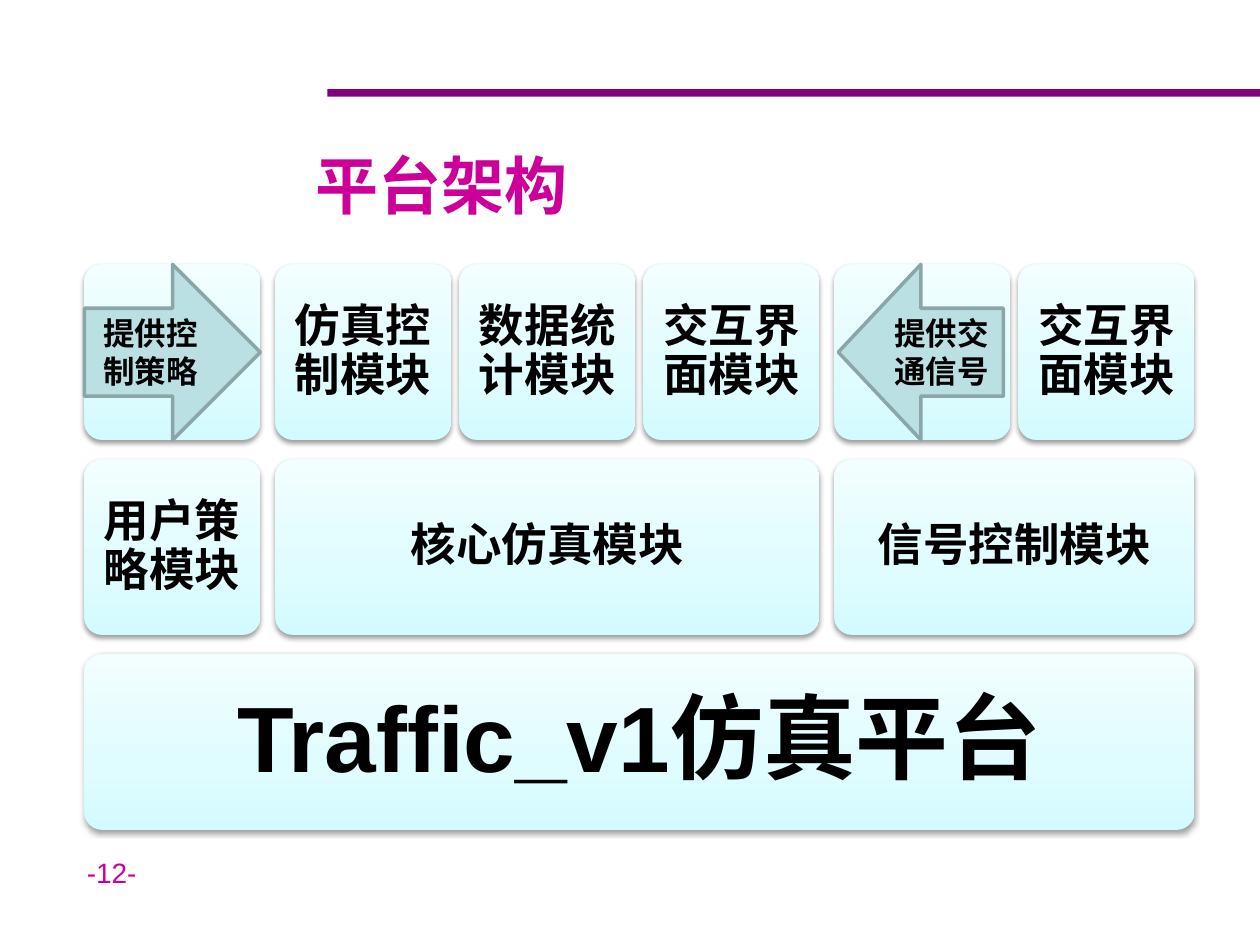
import pptx
import pptx.util
import pptx.dml.color
import pptx.enum.shapes
import pptx.enum.text
import pptx.oxml
import pptx.oxml.ns
from pptx.util import Cm

TITLE = "平台架构"
PAGE_NUMBER = "-12-"
PLATFORM = "Traffic_v1仿真平台"
# Each group: its module, then the cells above it (None is a cell without text).
GROUPS = [
    ("用户策略模块", [None]),
    ("核心仿真模块", ["仿真控制模块", "数据统计模块", "交互界面模块"]),
    ("信号控制模块", [None, "交互界面模块"]),
]
# Arrow text, shape, group it lies on, shift from the group's left edge, width.
ARROWS = [
    ("提供控制策略", "RIGHT_ARROW", 0, 0, 3.55),
    ("提供交通信号", "LEFT_ARROW", 2, 0.08, 3.33),
]

THEME = {
    "font": "Arial",
    "accent": "CC0099", "bar": "800080", "text": "000000",
    "arrow": "BBE0E3", "arrow_line": "8AA6A8",
    "tile": [(0, "D3FBFF"), (35, "DFFCFF"), (100, "F2FEFF")],
    "title_size": 36, "platform_size": 53, "module_size": 26,
    "arrow_size": 18, "number_size": 16,
}

LEFT, TOP = 1.7, 5.33
CELL, ROW = 3.55, 3.54
CELL_GAP, GROUP_GAP, ROW_GAP = 0.16, 0.3, 0.39

SHAPES = pptx.enum.shapes.MSO_SHAPE
ALIGN = pptx.enum.text.PP_ALIGN
ANCHOR = pptx.enum.text.MSO_ANCHOR


def colour(name):
    return pptx.dml.color.RGBColor.from_string(THEME[name])


def apply(target, values):
    for name, value in values.items():
        setattr(target, name, value)


def write(box, text, size, ink="text", bold=True, align=ALIGN.CENTER,
          anchor=ANCHOR.MIDDLE, inset=None, spacing=None):
    frame = box.text_frame
    apply(frame, {"word_wrap": True, "vertical_anchor": anchor,
                  "auto_size": pptx.enum.text.MSO_AUTO_SIZE.NONE})
    if inset is not None:
        sides = ("left", "top", "right", "bottom")
        apply(frame, {f"margin_{side}": Cm(inset) for side in sides})
    para = frame.paragraphs[0]
    apply(para, {"alignment": align, "line_spacing": spacing})
    span = para.add_run()
    span.text = text
    apply(span.font, {"name": THEME["font"], "bold": bold,
                      "size": pptx.util.Pt(THEME[size])})
    span.font.color.rgb = colour(ink)


def add_block(page, kind, left, top, width, height, fill):
    block = page.shapes.add_shape(kind, Cm(left), Cm(top), Cm(width), Cm(height))
    block.shadow.inherit = False
    block.fill.solid()
    block.fill.fore_color.rgb = colour(fill)
    block.line.fill.background()
    return block


def add_tile(page, left, row, width, text, size="module_size", inset=0.28):
    """Add a rounded tile with a vertical gradient and a soft shadow."""
    top = TOP + row * (ROW + ROW_GAP)
    tile = add_block(page, SHAPES.ROUNDED_RECTANGLE, left, top, width, ROW, "arrow")
    tile.adjustments[0] = 0.1
    namespace = pptx.oxml.ns.nsdecls("a")
    stops = "".join(
        f'<a:gs pos="{place * 1000}"><a:srgbClr val="{tint}"/></a:gs>'
        for place, tint in THEME["tile"])
    gradient = pptx.oxml.parse_xml(
        f'<a:gradFill {namespace} rotWithShape="1"><a:gsLst>{stops}</a:gsLst>'
        '<a:lin ang="16200000" scaled="0"/></a:gradFill>')
    shadow = pptx.oxml.parse_xml(
        f'<a:outerShdw {namespace} blurRad="40000" dist="20000" dir="5400000" '
        'rotWithShape="0"><a:srgbClr val="000000"><a:alpha val="38000"/>'
        '</a:srgbClr></a:outerShdw>')
    properties = tile.element.spPr
    properties.replace(properties.find(pptx.oxml.ns.qn("a:solidFill")), gradient)
    properties.find(pptx.oxml.ns.qn("a:effectLst")).append(shadow)
    if text:
        write(tile, text, size, inset=inset, spacing=0.9)


def main():
    deck = pptx.Presentation()
    apply(deck, {"slide_width": Cm(25.4), "slide_height": Cm(19.05)})
    page = deck.slides.add_slide(deck.slide_layouts[5])

    add_block(page, SHAPES.RECTANGLE, 6.6, 1.8, 18.8, 0.15, "bar")
    title = page.shapes.title
    apply(title, {"left": Cm(6.1), "top": Cm(2.72),
                  "width": Cm(18), "height": Cm(2)})
    write(title, TITLE, "title_size", "accent", align=ALIGN.LEFT)
    number = page.shapes.add_textbox(Cm(1.5), Cm(17.12), Cm(5.92), Cm(1.32))
    write(number, PAGE_NUMBER, "number_size", "accent", bold=False,
          align=ALIGN.LEFT, anchor=ANCHOR.TOP)

    starts = []
    left = LEFT
    for module, cells in GROUPS:
        starts.append(left)
        width = len(cells) * (CELL + CELL_GAP) - CELL_GAP
        add_tile(page, left, 1, width, module)
        for index, text in enumerate(cells):
            add_tile(page, left + index * (CELL + CELL_GAP), 0, CELL, text)
        left += width + GROUP_GAP
    add_tile(page, LEFT, 2, left - GROUP_GAP - LEFT, PLATFORM,
             "platform_size", inset=0.56)

    for text, kind, group, shift, width in ARROWS:
        arrow = add_block(page, getattr(SHAPES, kind), starts[group] + shift,
                          TOP, width, ROW, "arrow")
        arrow.line.color.rgb = colour("arrow_line")
        arrow.line.width = pptx.util.Pt(2)
        write(arrow, text, "arrow_size")

    deck.save("out.pptx")


if __name__ == "__main__":
    main()
